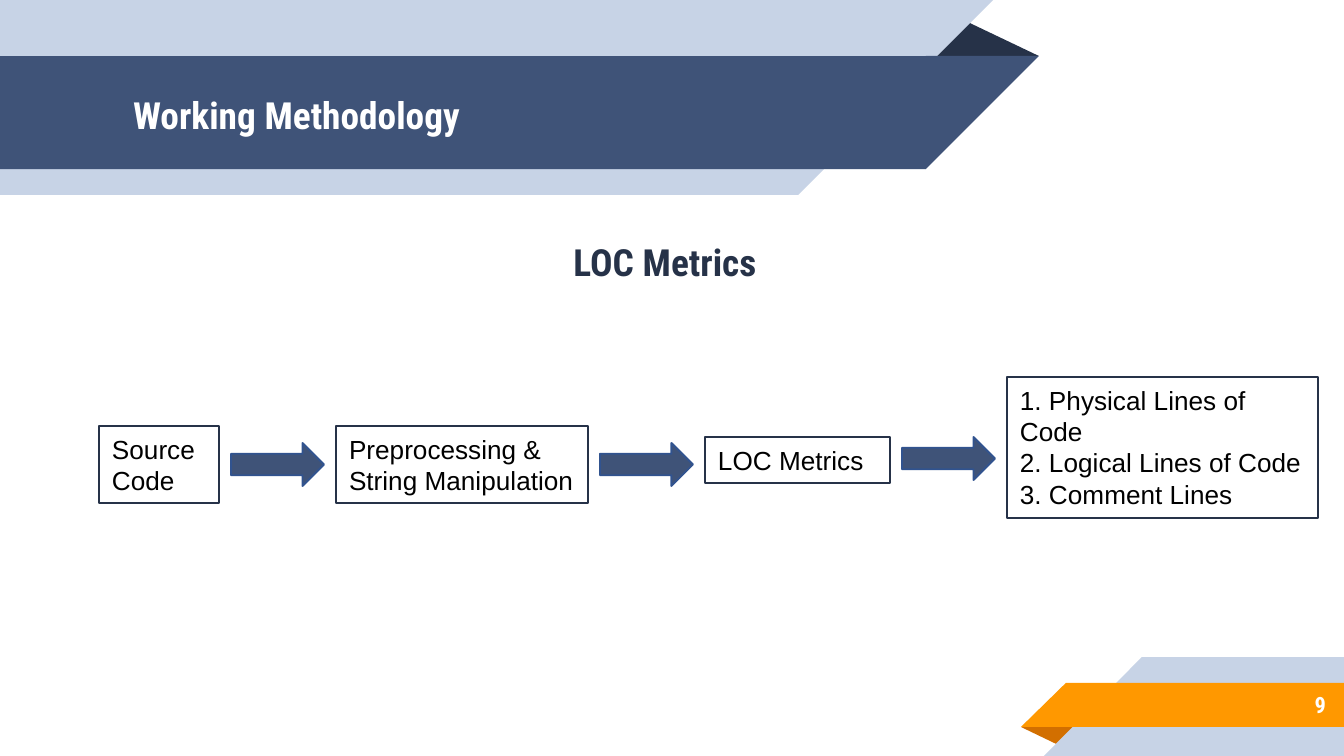
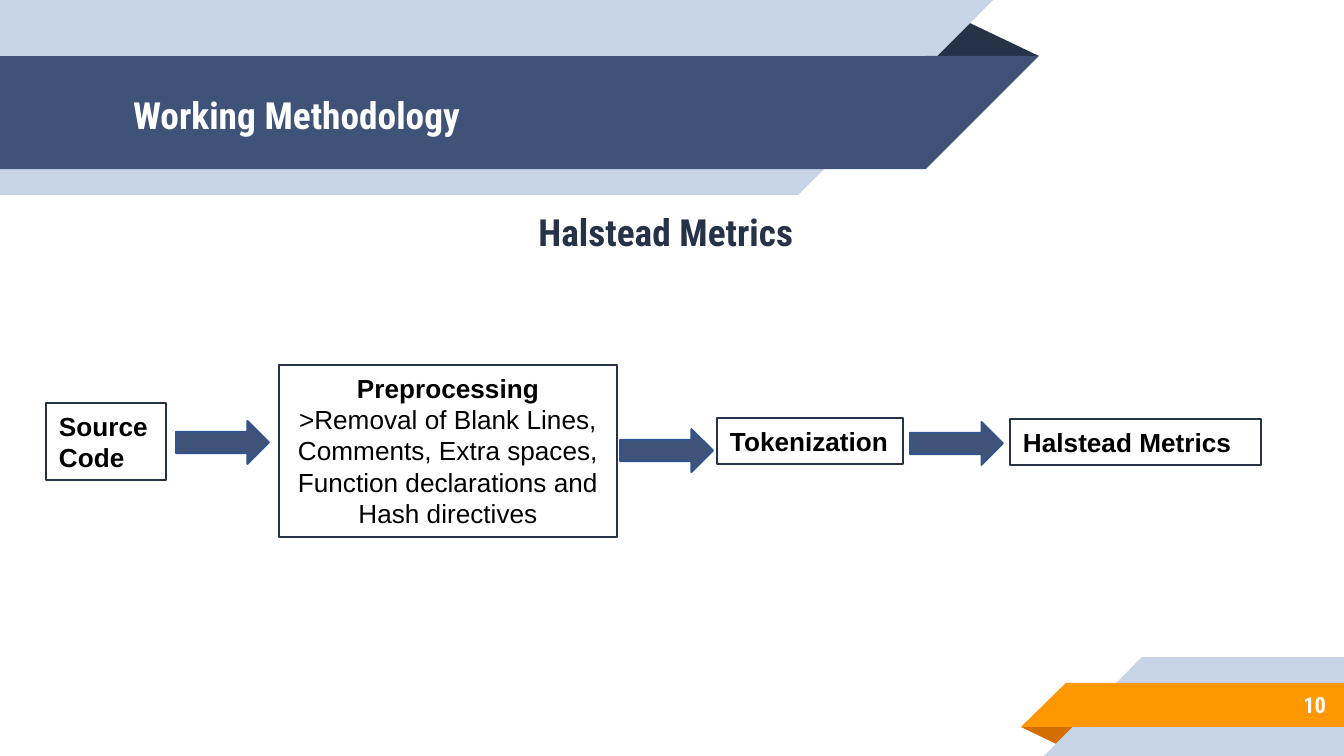
from pptx import Presentation, util as u
from pptx.dml.color import RGBColor
from pptx.enum import shapes, text
from lxml import etree

PX = 914400 / 134.4
NAVY = RGBColor(0x3F, 0x53, 0x78)
DARK = RGBColor(0x26, 0x32, 0x48)
PALE = RGBColor(0xC7, 0xD3, 0xE6)
GOLD = RGBColor(0xFF, 0x98, 0x00)
RUST = RGBColor(0xD2, 0x6F, 0x00)
EDGE = RGBColor(0x31, 0x53, 0x8F)
WHITE = RGBColor(0xFF, 0xFF, 0xFF)
BLACK = RGBColor(0x00, 0x00, 0x00)
HEAD = "Roboto Condensed"
BODY = "Arial"

KIND = shapes.MSO_SHAPE
RECT, WEDGE, PEAK = KIND.RECTANGLE, KIND.RIGHT_TRIANGLE, KIND.ISOSCELES_TRIANGLE
LEFT, MID, RIGHT = text.PP_ALIGN.LEFT, text.PP_ALIGN.CENTER, text.PP_ALIGN.RIGHT
TOP, CENTRE = text.MSO_ANCHOR.TOP, text.MSO_ANCHOR.MIDDLE

BANDS = [
    (PEAK, (925, 19, 114, 37), DARK, 0),
    (RECT, (0, 0, 798, 195), PALE, 180),
    (WEDGE, (798, 0, 195, 195), PALE, 180),
    (RECT, (0, 56, 926, 113), NAVY, 180),
    (WEDGE, (926, 56, 113, 113), NAVY, 180),
    (PEAK, (1021, 727, 58, 19), RUST, 180),
    (RECT, (1142, 657, 202, 99), PALE, 0),
    (WEDGE, (1044, 657, 98, 99), PALE, 0),
    (RECT, (1066, 683, 278, 44), GOLD, 0),
    (WEDGE, (1021, 683, 45, 44), GOLD, 0),
]

PAGES = [
    {
        "num": "9",
        "head": "LOC Metrics",
        "body": (71, 226, 1173, 401),
        "inset": 13,
        "boxes": [
            ((99, 426, 120, 77), LEFT, [("Source", False), ("Code", False)]),
            ((336, 426, 252, 77), LEFT,
             [("Preprocessing &", False), ("String Manipulation", False)]),
            ((705, 437, 185, 46), LEFT, [("LOC Metrics", False)]),
            ((1007, 377, 311, 141), LEFT,
             [("1. Physical Lines of Code", False),
              ("2. Logical Lines of Code", False),
              ("3. Comment Lines", False)]),
        ],
        "arrows": [(231, 443), (600, 443), (902, 437)],
    },
    {
        "num": "10",
        "head": "Halstead Metrics",
        "body": (36, 196, 1279, 551),
        "inset": 47,
        "boxes": [
            ((46, 403, 120, 77), LEFT, [("Source", True), ("Code", True)]),
            ((279, 365, 338, 172), MID,
             [("Preprocessing", True),
              (">Removal of Blank Lines, Comments, Extra spaces, "
               "Function declarations and", False),
              ("Hash directives", False)]),
            ((717, 418, 186, 46), LEFT, [("Tokenization", True)]),
            ((1010, 419, 251, 46), LEFT, [("Halstead Metrics", True)]),
        ],
        "arrows": [(176, 421), (620, 429), (910, 422)],
    },
]


def draw(page, kind, box, fill, line=None, width=0):
    item = page.shapes.add_shape(kind, *[round(n * PX) for n in box])
    item.shadow.inherit = False
    if fill is None:
        item.fill.background()
    else:
        item.fill.solid()
        item.fill.fore_color.rgb = fill
    if line is None:
        item.line.fill.background()
    else:
        item.line.color.rgb = line
        item.line.width = u.Pt(width)
    return item


def write(item, lines, font, size, color, align, anchor, pad):
    frame = item.text_frame
    frame.word_wrap = True
    frame.auto_size = text.MSO_AUTO_SIZE.NONE
    frame.vertical_anchor = anchor
    frame.margin_left = frame.margin_right = round(13 * PX)
    frame.margin_top = frame.margin_bottom = round(pad * PX)
    for n, (words, bold) in enumerate(lines):
        para = frame.add_paragraph() if n else frame.paragraphs[0]
        para.alignment = align
        run = para.add_run()
        run.text = words
        run.font.name = font
        run.font.size = u.Pt(size)
        run.font.bold = bold
        run.font.color.rgb = color
    return frame


deck = Presentation()
deck.slide_width = round(1344 * PX)
deck.slide_height = round(756 * PX)
plan = deck.slide_layouts[1]

for n, page in enumerate(PAGES):
    slide = deck.slides.add_slide(plan)

    if n == 0:
        for k, (kind, box, fill, turn) in enumerate(BANDS):
            band = draw(slide, kind, box, fill)
            band.rotation = turn
            if kind == PEAK:
                band.adjustments[0] = 0.32
            else:
                band.element.spPr.xfrm.set("flipH", "1")
            band.element.nvSpPr.cNvPr.set("id", str(100 + k))
            plan.shapes.element.insert(2 + k, band.element)

    title, body = slide.shapes.title, slide.placeholders[1]
    note = slide.shapes.add_textbox(0, 0, 0, 0)
    for item, box in ((title, (120, 58, 773, 113)), (body, page["body"]),
                      (note, (1120, 681, 219, 47))):
        item.left, item.top, item.width, item.height = [round(v * PX) for v in box]

    write(title, [("Working Methodology", True)], HEAD, 20, WHITE, LEFT, CENTRE, 13)
    write(note, [(page["num"], True)], HEAD, 12, WHITE, RIGHT, CENTRE, 13)
    frame = write(body, [(page["head"], True)], HEAD, 20, DARK, MID, TOP, 13)
    frame.margin_right = round(page["inset"] * PX)
    para = frame.paragraphs[0]
    para.space_before = u.Pt(6)
    prop = para._p.get_or_add_pPr()
    prop.set("marL", str(round(15 * PX)))
    prop.set("indent", "0")
    etree.SubElement(prop, "{http://schemas.openxmlformats.org/drawingml/2006/main}buNone")

    for box, align, lines in page["boxes"]:
        item = draw(slide, RECT, box, None, DARK, 0.75)
        frame = write(item, lines, BODY, 14, BLACK, align, TOP, 7)
        frame.auto_size = text.MSO_AUTO_SIZE.SHAPE_TO_FIT_TEXT

    for x, y in page["arrows"]:
        draw(slide, KIND.RIGHT_ARROW, (x, y, 93, 43), NAVY, EDGE, 1)

deck.save("out.pptx")
